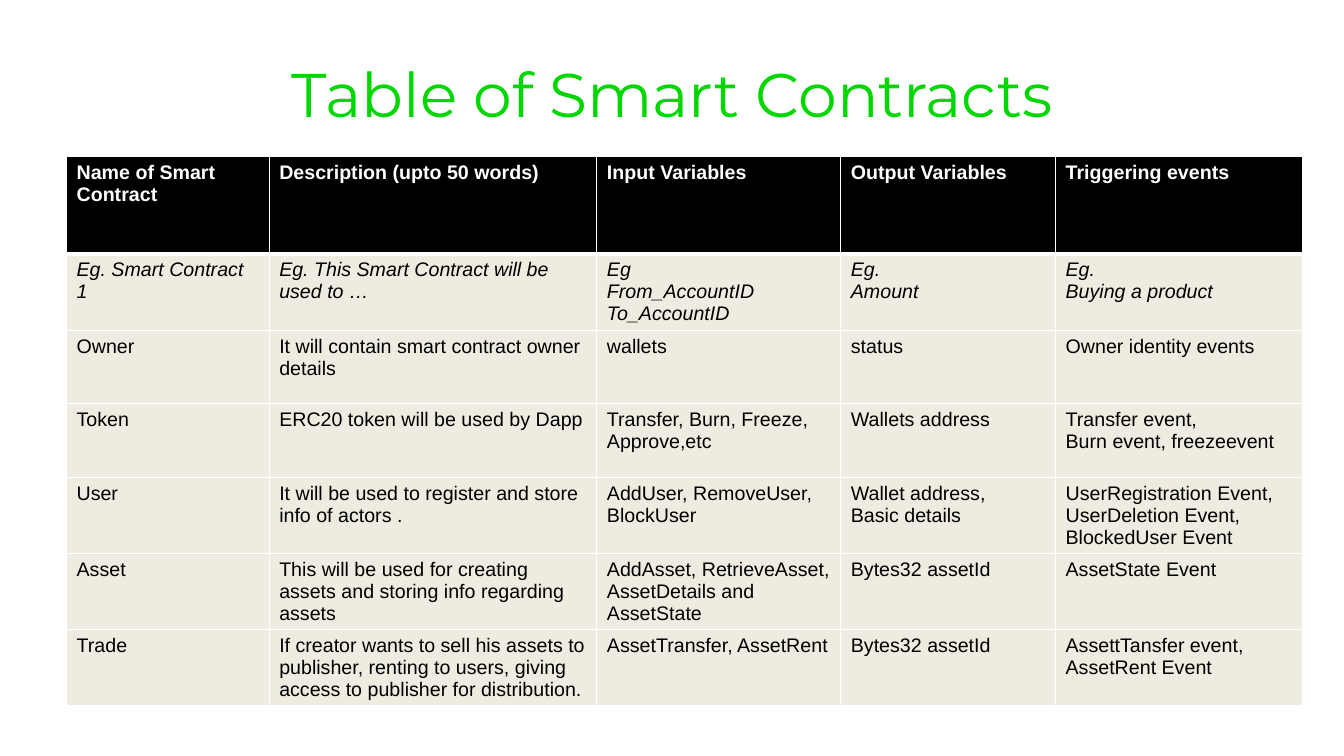
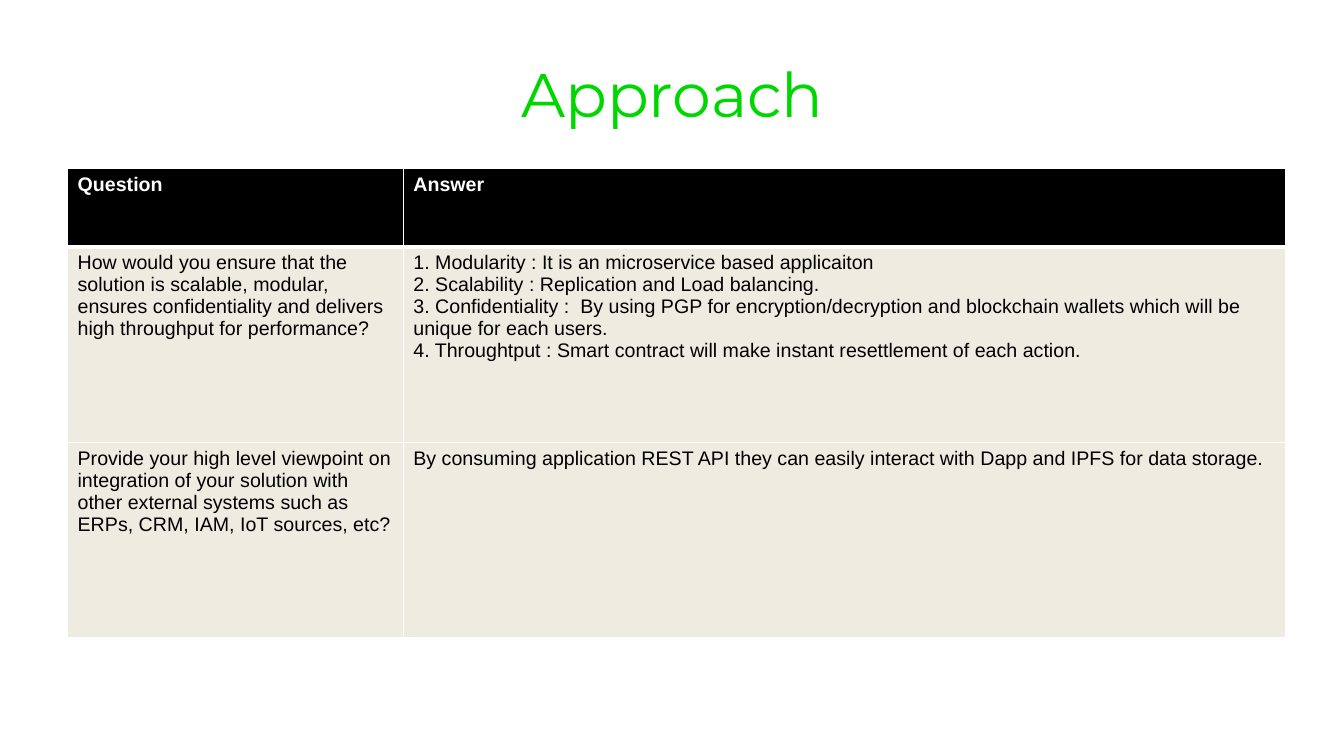
from dataclasses import dataclass

from lxml import etree
from pptx import Presentation
from pptx import util as u
from pptx.dml import color
from pptx.enum import text
from pptx.oxml import ns


@dataclass(frozen=True)
class Theme:
    title_color: str = "00D700"
    head_fill: str = "000000"
    head_text: str = "FFFFFF"
    body_fill: str = "EEECE1"
    body_text: str = "000000"
    rule: str = "FFFFFF"
    title_font: str = "Montserrat"
    body_font: str = "Arial"
    title_size: int = 44
    body_size: int = 14
    thin: float = 0.96
    thick: float = 3


THEME = Theme()

CONTRACTS = [
    ["Name of Smart Contract", "Description (upto 50 words)", "Input Variables",
     "Output Variables", "Triggering events"],
    ["Eg. Smart Contract 1", "Eg. This Smart Contract will be used to …",
     "Eg\nFrom_AccountID\nTo_AccountID", "Eg.\nAmount", "Eg.\nBuying a product"],
    ["Owner", "It will contain smart contract owner details", "wallets", "status",
     "Owner identity events"],
    ["Token", "ERC20 token will be used by Dapp", "Transfer, Burn, Freeze, Approve,etc",
     "Wallets address", "Transfer event,\nBurn event, freezeevent"],
    ["User", "It will be used to register and store info of actors .",
     "AddUser, RemoveUser, BlockUser", "Wallet address,\nBasic details",
     "UserRegistration Event,\nUserDeletion Event,\nBlockedUser Event"],
    ["Asset", "This will be used for creating assets and storing info regarding assets",
     "AddAsset, RetrieveAsset, AssetDetails and AssetState", "Bytes32 assetId",
     "AssetState Event"],
    ["Trade", "If creator wants to sell his assets to publisher, renting to users, "
     "giving access to publisher for distribution.", "AssetTransfer, AssetRent",
     "Bytes32 assetId", "AssettTansfer event,\nAssetRent Event"],
]

APPROACH = [
    ["Question", "Answer"],
    ["How would you ensure that the solution is scalable, modular, ensures "
     "confidentiality and delivers high throughput for performance?",
     "1. Modularity : It is an microservice based applicaiton\n"
     "2. Scalability : Replication and Load balancing.\n"
     "3. Confidentiality :  By using PGP for encryption/decryption and blockchain "
     "wallets which will be unique for each users.\n"
     "4. Throughtput : Smart contract will make instant resettlement of each action."],
    ["Provide your high level viewpoint on integration of your solution with other "
     "external systems such as ERPs, CRM, IAM, IoT sources, etc?",
     "By consuming application REST API they can easily interact with Dapp and IPFS "
     "for data storage."],
]


def style_text(tf, *, font, size, rgb, bold=False, italic=False, align=None):
    for p in tf.paragraphs:
        p.alignment = align
        for r in p.runs:
            r.font.name = font
            r.font.size = u.Pt(size)
            r.font.bold = bold
            r.font.italic = italic
            r.font.color.rgb = color.RGBColor.from_string(rgb)


def set_borders(cell, *, top, bottom):
    tc_pr = cell._tc.get_or_add_tcPr()
    widths = {"L": THEME.thin, "R": THEME.thin, "T": top, "B": bottom}
    for i, (side, width) in enumerate(widths.items()):
        ln = etree.Element(ns.qn(f"a:ln{side}"), w=str(u.Pt(width)))
        fill = etree.SubElement(ln, ns.qn("a:solidFill"))
        etree.SubElement(fill, ns.qn("a:srgbClr"), val=THEME.rule)
        tc_pr.insert(i, ln)


def format_cell(cell, value, row, *, italic):
    head = row == 0
    cell.text = value
    style_text(cell.text_frame, font=THEME.body_font, size=THEME.body_size,
               rgb=THEME.head_text if head else THEME.body_text,
               bold=head, italic=italic)
    cell.fill.solid()
    cell.fill.fore_color.rgb = color.RGBColor.from_string(
        THEME.head_fill if head else THEME.body_fill)
    set_borders(cell, top=THEME.thick if row == 1 else THEME.thin,
                bottom=THEME.thick if head else THEME.thin)


def add_grid(s, rows, *, left, top, widths, head_height, row_height, italic_rows=()):
    heights = [head_height] + [row_height] * (len(rows) - 1)
    table = s.shapes.add_table(
        len(rows), len(widths), u.Inches(left), u.Inches(top),
        u.Inches(sum(widths)), u.Inches(sum(heights))).table
    table.horz_banding = False
    for column, width in zip(table.columns, widths):
        column.width = u.Inches(width)
    for i, (values, height) in enumerate(zip(rows, heights)):
        table.rows[i].height = u.Inches(height)
        for j, value in enumerate(values):
            format_cell(table.cell(i, j), value, i, italic=i in italic_rows)


def prepare_layout(prs):
    layout = prs.slide_layouts.get_by_name("Title Only")
    sp = layout.placeholders[0]
    sp.left, sp.top = u.Inches(0.67), u.Inches(0.3)
    sp.width, sp.height = u.Inches(12), u.Inches(1.25)
    return layout


def add_titled_slide(prs, layout, title):
    s = prs.slides.add_slide(layout)
    tf = s.shapes.title.text_frame
    tf.text = title
    tf.vertical_anchor = text.MSO_ANCHOR.MIDDLE
    style_text(tf, font=THEME.title_font, size=THEME.title_size,
               rgb=THEME.title_color, align=text.PP_ALIGN.CENTER)
    return s


def main():
    prs = Presentation()
    prs.slide_width, prs.slide_height = u.Inches(13.33), u.Inches(7.5)
    layout = prepare_layout(prs)

    s = add_titled_slide(prs, layout, "Table of Smart Contracts")
    add_grid(s, CONTRACTS, left=0.66, top=1.55, widths=[2.01, 3.25, 2.42, 2.13, 2.45],
             head_height=0.97, row_height=0.73, italic_rows={1})

    s = add_titled_slide(prs, layout, "Approach")
    add_grid(s, APPROACH, left=0.67, top=1.67, widths=[3.33, 8.75],
             head_height=0.78, row_height=1.94)

    prs.save("out.pptx")


if __name__ == "__main__":
    main()
